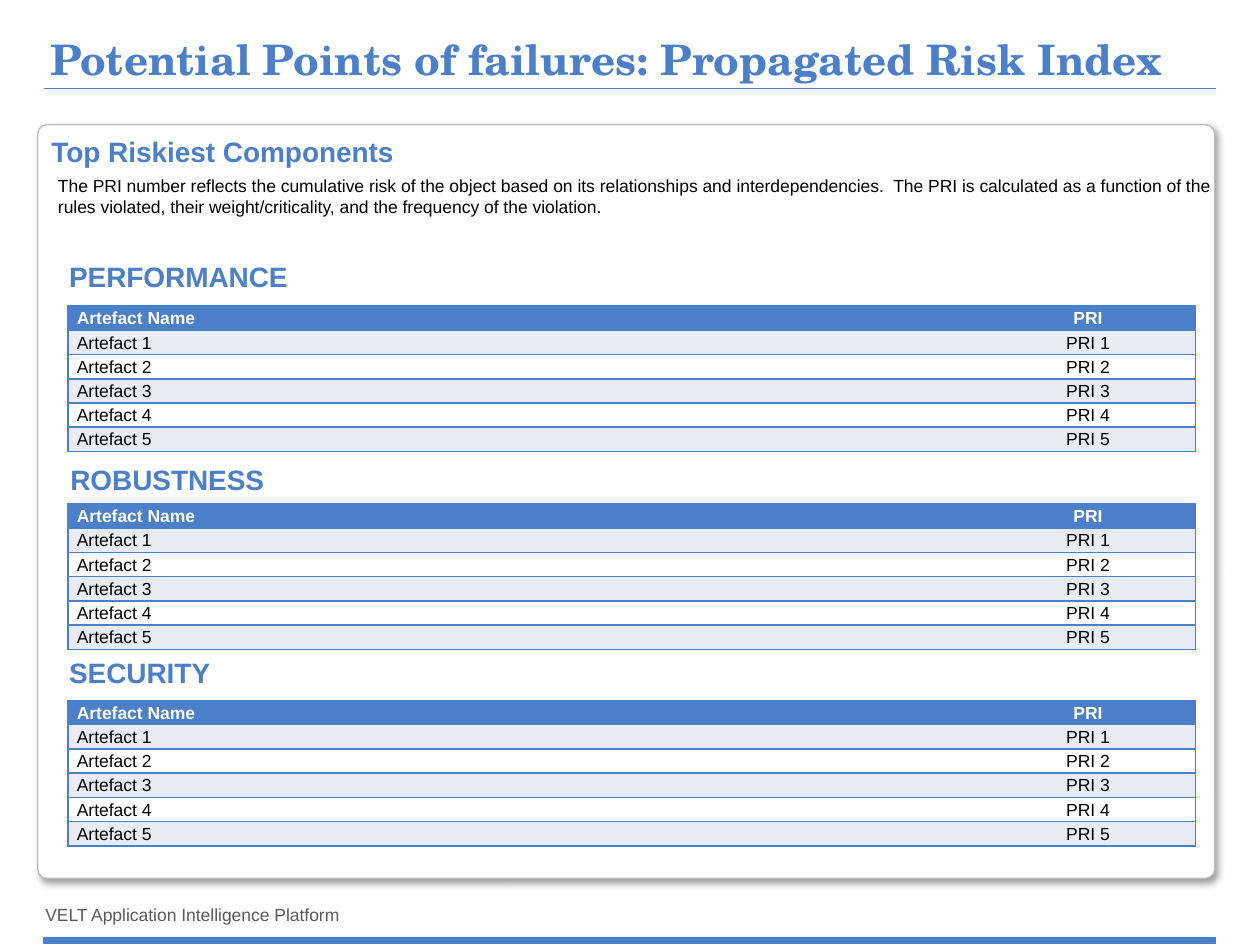
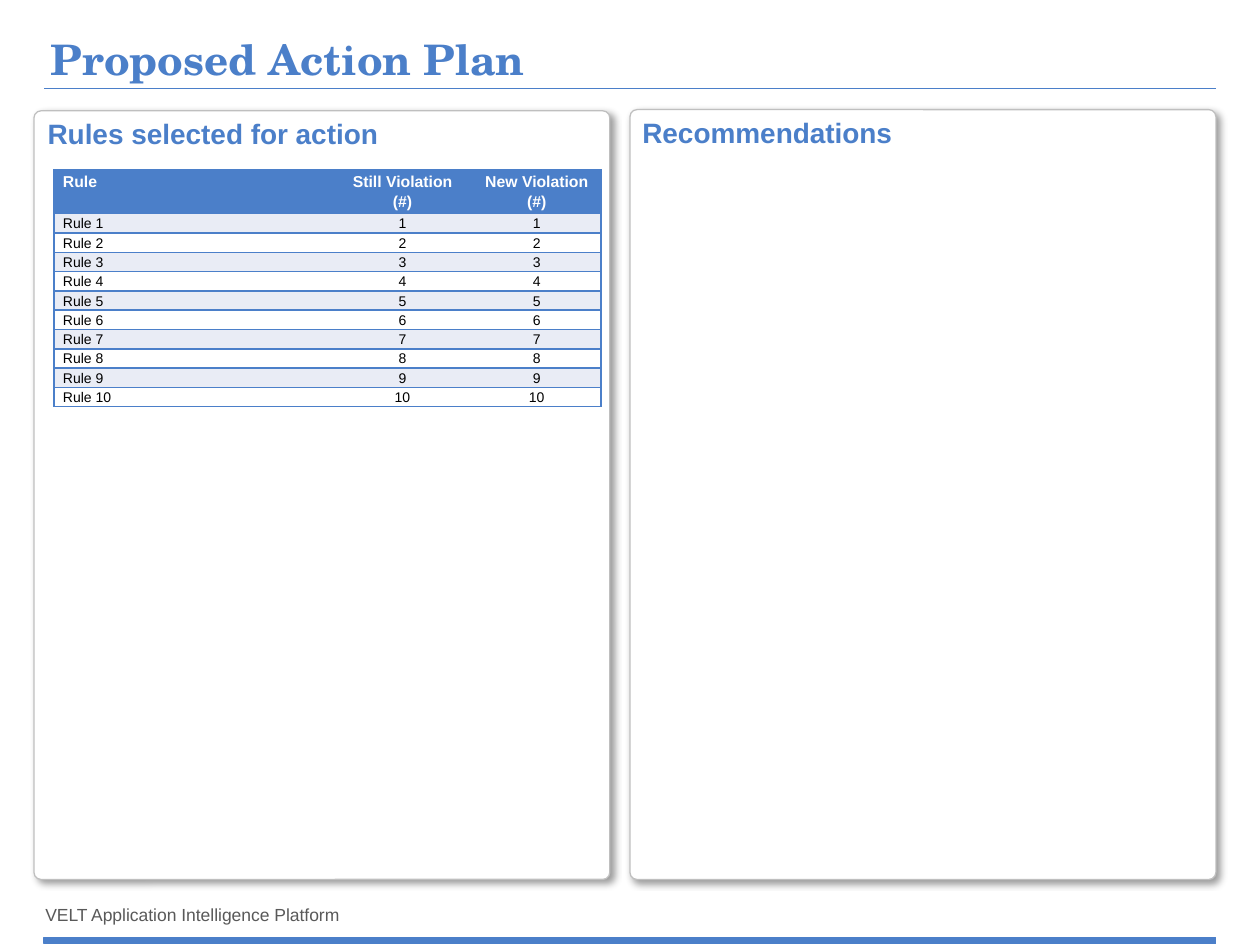
from dataclasses import dataclass

from lxml import etree
from pptx import Presentation
from pptx.dml.color import RGBColor
from pptx.enum.shapes import MSO_CONNECTOR, MSO_SHAPE
from pptx.enum.text import MSO_ANCHOR, MSO_AUTO_SIZE, PP_ALIGN
from pptx.oxml.ns import qn
from pptx.slide import Slide
from pptx.util import Inches, Pt

RECTANGLE = MSO_SHAPE.RECTANGLE
ROUNDED_RECTANGLE = MSO_SHAPE.ROUNDED_RECTANGLE
STRAIGHT = MSO_CONNECTOR.STRAIGHT
TOP, MIDDLE, BOTTOM = MSO_ANCHOR.TOP, MSO_ANCHOR.MIDDLE, MSO_ANCHOR.BOTTOM
LEFT, CENTER = PP_ALIGN.LEFT, PP_ALIGN.CENTER
FIT_TEXT = MSO_AUTO_SIZE.SHAPE_TO_FIT_TEXT

GRID_COLUMNS, GRID_ROWS = 100, 75
SLIDE_WIDTH, SLIDE_HEIGHT = Inches(10), Inches(7.5)
MARGIN, CONTENT_WIDTH = 3.5, 93

COLORS = {
    "accent": "4B7FC9",
    "band": "E9ECF5",
    "paper": "FFFFFF",
    "ink": "000000",
    "footer": "595959",
    "outline": "BFBFBF",
}
BODY_FONT, TITLE_FONT = "Arial", "TeX Gyre Schola"
FOOTER_TEXT = "VELT Application Intelligence Platform"


@dataclass(frozen=True)
class Box:
    column: float
    row: float
    columns: float
    rows: float

    def emu(self) -> tuple[int, int, int, int]:
        return (across(self.column), down(self.row),
                across(self.columns), down(self.rows))


@dataclass(frozen=True)
class TextStyle:
    size: float
    color: str
    bold: bool = False
    font: str = BODY_FONT
    line_spacing: float | None = None
    alignment: PP_ALIGN = LEFT


@dataclass(frozen=True)
class TextFrameStyle:
    insets: tuple[float, float, float, float] = (0.1, 0.05, 0.1, 0.05)
    anchor: MSO_ANCHOR = TOP
    wrap: bool = True
    grow: bool = False


@dataclass(frozen=True)
class TableLayout:
    column_widths: tuple[float, ...]
    header_height: float
    body_height: float
    header_size: float
    body_size: float


@dataclass(frozen=True)
class Section:
    heading: str
    heading_column: float
    heading_row: float
    table_row: float


TITLE = TextStyle(24, "accent", True, TITLE_FONT, 0.9)
HEADING = TextStyle(16, "accent", True)
BODY = TextStyle(10, "ink")
FOOTER = TextStyle(10, "footer")

TITLE_FRAME = TextFrameStyle((0.05, 0.05, 0.05, 0), BOTTOM, grow=True)
HEADING_FRAME = TextFrameStyle(grow=True)
BODY_FRAME = TextFrameStyle((0, 0, 0, 0))
FOOTER_FRAME = TextFrameStyle((0, 0, 0, 0), MIDDLE, wrap=False)
CELL_FRAME = TextFrameStyle((0.07, 0, 0.07, 0))

HEADING_HEIGHT = 3.7
ARTEFACT_LAYOUT = TableLayout((72.4, 17.1), 1.92, 1.92, 10, 10)
RULE_LAYOUT = TableLayout((22.1, 11.1, 10.2), 3.45, 1.53, 9, 8)

SECTIONS = (
    Section("PERFORMANCE", 4.5, 20.1, 24.3),
    Section("ROBUSTNESS", 4.6, 36.2, 40),
    Section("SECURITY", 4.5, 51.5, 55.6),
)
ARTEFACTS = [("Artefact Name", "PRI")] + [
    (f"Artefact {number}", f"PRI {number}") for number in range(1, 6)
]
RULES = [("Rule", "Still Violation (#)", "New Violation (#)")] + [
    (f"Rule {number}", str(number), str(number)) for number in range(1, 11)
]
PRI_EXPLANATION = (
    "The PRI number reflects the cumulative risk of the object based on its "
    "relationships and interdependencies.  The PRI is calculated as a function "
    "of the rules violated, their weight/criticality, and the frequency of the "
    "violation."
)


def across(columns: float) -> int:
    return round(SLIDE_WIDTH * columns / GRID_COLUMNS)


def down(rows: float) -> int:
    return round(SLIDE_HEIGHT * rows / GRID_ROWS)


def rgb(name: str) -> RGBColor:
    return RGBColor.from_string(COLORS[name])


def write(text_frame, text: str, style: TextStyle) -> None:
    text_frame.text = text
    paragraph = text_frame.paragraphs[0]
    paragraph.alignment = style.alignment
    if style.line_spacing:
        paragraph.line_spacing = style.line_spacing
    font = paragraph.runs[0].font
    font.name, font.size, font.bold = style.font, Pt(style.size), style.bold
    font.color.rgb = rgb(style.color)


def add_text(slide: Slide, box: Box, text: str, style: TextStyle,
             frame: TextFrameStyle) -> None:
    text_frame = slide.shapes.add_textbox(*box.emu()).text_frame
    text_frame.word_wrap = frame.wrap
    text_frame.vertical_anchor = frame.anchor
    (text_frame.margin_left, text_frame.margin_top, text_frame.margin_right,
     text_frame.margin_bottom) = map(Inches, frame.insets)
    if frame.grow:
        text_frame.auto_size = FIT_TEXT
    write(text_frame, text, style)


def add_heading(slide: Slide, column: float, row: float, columns: float,
                text: str) -> None:
    box = Box(column, row, columns, HEADING_HEIGHT)
    add_text(slide, box, text, HEADING, HEADING_FRAME)


def add_filled_shape(slide: Slide, kind: MSO_SHAPE, box: Box, fill: str,
                     line: str):
    shape = slide.shapes.add_shape(kind, *box.emu())
    shape.shadow.inherit = False
    shape.fill.solid()
    shape.fill.fore_color.rgb = rgb(fill)
    shape.line.color.rgb = rgb(line)
    shape.line.width = Pt(0.75)
    return shape


def add_panel(slide: Slide, box: Box) -> None:
    panel = add_filled_shape(slide, ROUNDED_RECTANGLE, box, "paper", "outline")
    panel.adjustments[0] = 0.012
    effects = panel._element.spPr.find(qn("a:effectLst"))
    shadow = etree.SubElement(
        effects, qn("a:outerShdw"), blurRad=str(Pt(4)), dist=str(Pt(3)),
        dir=str(45 * 60000), algn="tl", rotWithShape="0")
    color = etree.SubElement(shadow, qn("a:srgbClr"), val=COLORS["ink"])
    etree.SubElement(color, qn("a:alpha"), val="40000")


def set_borders(cell, is_first: bool, is_last: bool) -> None:
    properties = cell._tc.get_or_add_tcPr()
    sides = {"L": is_first, "R": is_last, "T": True, "B": True}
    for side, visible in sides.items():
        border = etree.SubElement(properties, qn(f"a:ln{side}"), w=str(Pt(1)))
        if visible:
            fill = etree.SubElement(border, qn("a:solidFill"))
            etree.SubElement(fill, qn("a:srgbClr"), val=COLORS["accent"])
        else:
            etree.SubElement(border, qn("a:noFill"))


def add_data_table(slide: Slide, column: float, row: float,
                   layout: TableLayout, records: list[tuple[str, ...]]) -> None:
    heights = [layout.header_height] + [layout.body_height] * (len(records) - 1)
    widths = layout.column_widths
    box = Box(column, row, sum(widths), sum(heights))
    table = slide.shapes.add_table(len(records), len(widths), *box.emu()).table
    table.first_row = table.horz_banding = False
    for table_column, width in zip(table.columns, widths):
        table_column.width = across(width)
    for row_index, record in enumerate(records):
        table.rows[row_index].height = down(heights[row_index])
        is_header = row_index == 0
        band = "band" if row_index % 2 else "paper"
        for column_index, text in enumerate(record):
            cell = table.cell(row_index, column_index)
            (cell.margin_left, cell.margin_top, cell.margin_right,
             cell.margin_bottom) = map(Inches, CELL_FRAME.insets)
            set_borders(cell, column_index == 0, column_index == len(widths) - 1)
            cell.fill.solid()
            cell.fill.fore_color.rgb = rgb("accent" if is_header else band)
            write(cell.text_frame, text, TextStyle(
                size=layout.header_size if is_header else layout.body_size,
                color="paper" if is_header else "ink",
                bold=is_header,
                line_spacing=1.15,
                alignment=CENTER if column_index else LEFT))


def add_base_slide(presentation, title: str) -> Slide:
    slide = presentation.slides.add_slide(presentation.slide_layouts[6])
    add_text(slide, Box(3.6, 71.3, 24.4, 2.5), FOOTER_TEXT, FOOTER, FOOTER_FRAME)
    title_rule = slide.shapes.add_connector(
        STRAIGHT, across(MARGIN), down(7), across(MARGIN + CONTENT_WIDTH), down(7))
    title_rule.line.color.rgb = rgb("accent")
    title_rule.line.width = Pt(0.5)
    etree.SubElement(title_rule._element.spPr, qn("a:effectLst"))
    add_filled_shape(slide, RECTANGLE, Box(MARGIN, 74.4, CONTENT_WIDTH, 0.5),
                     "accent", "accent")
    add_text(slide, Box(MARGIN, 2.6, CONTENT_WIDTH, 4.1), title, TITLE, TITLE_FRAME)
    return slide


def build_risk_slide(presentation) -> None:
    slide = add_base_slide(
        presentation, "Potential Points of failures: Propagated Risk Index")
    add_panel(slide, Box(3, 9.9, 93.4, 59.8))
    add_heading(slide, 3.1, 10.2, 69.8, "Top Riskiest Components")
    add_text(slide, Box(4.6, 13.9, 91.8, 5.5), PRI_EXPLANATION, BODY, BODY_FRAME)
    for section in SECTIONS:
        add_heading(slide, section.heading_column, section.heading_row, 20.8,
                    section.heading)
        add_data_table(slide, 5.4, section.table_row, ARTEFACT_LAYOUT, ARTEFACTS)


def build_action_slide(presentation) -> None:
    slide = add_base_slide(presentation, "Proposed Action Plan")
    add_panel(slide, Box(2.7, 8.8, 45.7, 61))
    add_heading(slide, 2.8, 8.8, 36.3, "Rules selected for action")
    add_data_table(slide, 4.3, 13.5, RULE_LAYOUT, RULES)
    add_panel(slide, Box(50, 8.7, 46.5, 61.1))
    add_heading(slide, 50, 8.7, 36.3, "Recommendations")


def main() -> None:
    presentation = Presentation()
    presentation.slide_width, presentation.slide_height = SLIDE_WIDTH, SLIDE_HEIGHT
    build_risk_slide(presentation)
    build_action_slide(presentation)
    presentation.save("out.pptx")


if __name__ == "__main__":
    main()
